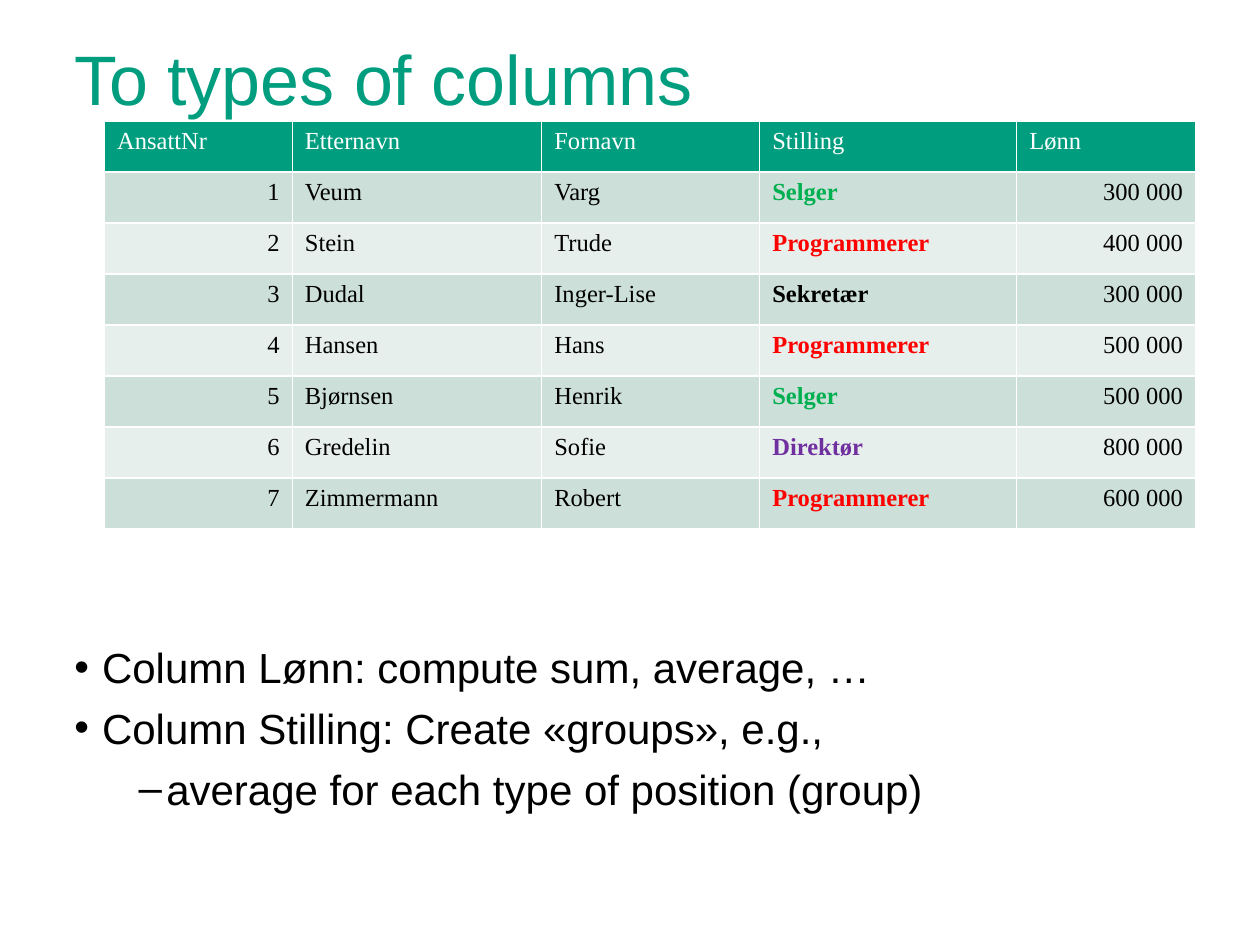
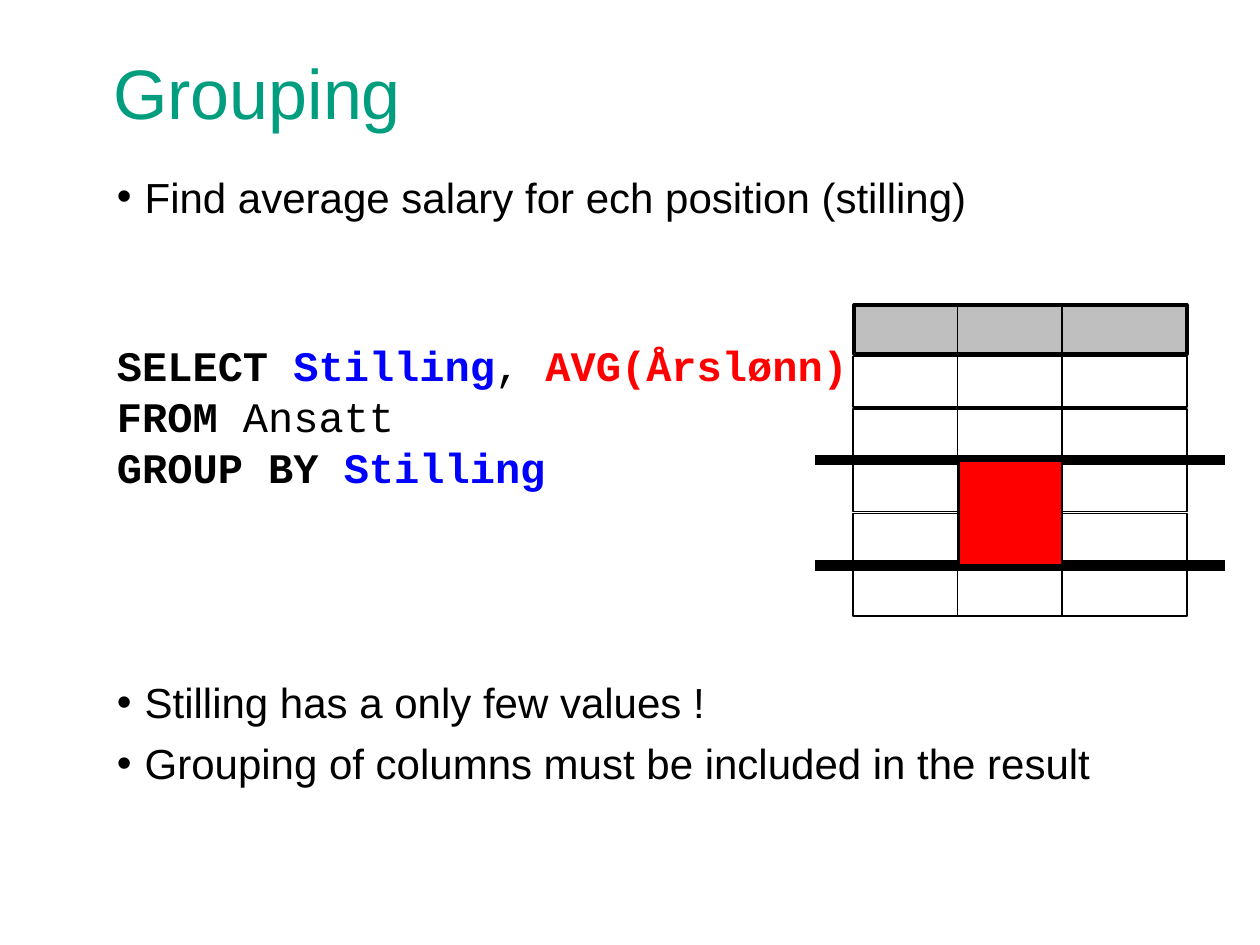
import pptx
import pptx.dml.color
import pptx.enum.shapes
import pptx.enum.text
import pptx.oxml
import pptx.oxml.ns
import pptx.util

Inches = pptx.util.Inches
Pt = pptx.util.Pt
RGBColor = pptx.dml.color.RGBColor
Align = pptx.enum.text.PP_ALIGN
Anchor = pptx.enum.text.MSO_ANCHOR

BLACK = RGBColor(0, 0, 0)
WHITE = RGBColor(255, 255, 255)
TEAL = RGBColor(0x00, 0x9D, 0x7F)
BAND_DARK = RGBColor(0xCC, 0xDF, 0xD8)
BAND_LIGHT = RGBColor(0xE7, 0xEF, 0xEC)
GREEN = RGBColor(0x00, 0xB0, 0x50)
PURPLE = RGBColor(0x70, 0x30, 0xA0)
RED = RGBColor(255, 0, 0)
BLUE = RGBColor(0, 0, 255)
GREY = RGBColor(0xBF, 0xBF, 0xBF)

SANS = "Arial"
SERIF = "Times New Roman"
MONO = "Courier New"

HEADER = ["AnsattNr", "Etternavn", "Fornavn", "Stilling", "Lønn"]
EMPLOYEES = [
    ["1", "Veum", "Varg", "Selger", "300 000"],
    ["2", "Stein", "Trude", "Programmerer", "400 000"],
    ["3", "Dudal", "Inger-Lise", "Sekretær", "300 000"],
    ["4", "Hansen", "Hans", "Programmerer", "500 000"],
    ["5", "Bjørnsen", "Henrik", "Selger", "500 000"],
    ["6", "Gredelin", "Sofie", "Direktør", "800 000"],
    ["7", "Zimmermann", "Robert", "Programmerer", "600 000"],
]
COLUMN_WIDTHS = [1.49, 1.98, 1.73, 2.04, 1.42]
POSITION_COLOURS = {"Selger": GREEN, "Programmerer": RED, "Sekretær": BLACK, "Direktør": PURPLE}
POSITION_COLUMN = HEADER.index("Stilling")
NUMBER_COLUMNS = (HEADER.index("AnsattNr"), HEADER.index("Lønn"))


def add_xml(parent, tag, **attributes):
    child = pptx.oxml.parse_xml(f"<a:{tag} {pptx.oxml.ns.nsdecls('a')}/>")
    for name, value in attributes.items():
        child.set(name, str(value))
    parent.append(child)
    return child


class Painter:
    body_size = 24
    title_size = 40
    table_size = 14
    body_gap = 6

    def __init__(self):
        self.deck = pptx.Presentation()
        self.deck.slide_width = Inches(10)
        self.deck.slide_height = Inches(7.5)
        self.page = None

    def new_page(self):
        self.page = self.deck.slides.add_slide(self.deck.slide_layouts[6])

    def span(self, para, text, size, font=SANS, colour=BLACK, bold=False):
        span = para.add_run()
        span.text = text
        span.font.size = Pt(size)
        span.font.name = font
        span.font.bold = bold
        span.font.color.rgb = colour

    def text_frame(self, left, top, width, height, inset, anchor=Anchor.TOP):
        box = self.page.shapes.add_textbox(Inches(left), Inches(top), Inches(width), Inches(height))
        frame = box.text_frame
        frame.word_wrap = True
        frame.vertical_anchor = anchor
        frame.margin_left = frame.margin_right = Inches(inset)
        frame.margin_top = frame.margin_bottom = Inches(inset / 2)
        return frame

    def title(self, text, left, top, height, inset=0):
        frame = self.text_frame(left, top, 7.46, height, inset, Anchor.BOTTOM)
        self.span(frame.paragraphs[0], text, self.title_size, colour=TEAL)

    def body_para(self, frame, gap=body_gap, bullet=None, left=0.22):
        para = frame.paragraphs[0]
        if para.runs:
            para = frame.add_paragraph()
        para.space_before = Pt(gap)
        properties = para._p.get_or_add_pPr()
        properties.set("marL", str(Inches(left)))
        properties.set("indent", str(Inches(-0.22)))
        if bullet:
            add_xml(properties, "buFont", typeface=SANS)
            add_xml(properties, "buChar", char=bullet)
        else:
            add_xml(properties, "buNone")
        return para

    def bullet(self, frame, text, gap=body_gap, mark="•", left=0.22):
        self.span(self.body_para(frame, gap, mark, left), text, self.body_size)

    def code_line(self, frame, spans, gap=body_gap):
        para = self.body_para(frame, gap)
        para.line_spacing = 0.8
        for text, colour, bold in spans:
            self.span(para, text, self.body_size, MONO, colour, bold)

    def cell(self, cell, text, fill, colour=BLACK, bold=False, align=Align.LEFT):
        properties = cell._tc.get_or_add_tcPr()
        for side in ("lnL", "lnR", "lnT", "lnB"):
            border = add_xml(properties, side, w=Pt(1))
            add_xml(add_xml(border, "solidFill"), "srgbClr", val=WHITE)
        cell.fill.solid()
        cell.fill.fore_color.rgb = fill
        para = cell.text_frame.paragraphs[0]
        para.alignment = align
        self.span(para, text, self.table_size, SERIF, colour, bold)

    def employee_table(self, left, top, height):
        rows = len(EMPLOYEES) + 1
        table = self.page.shapes.add_table(
            rows, len(HEADER), Inches(left), Inches(top), Inches(sum(COLUMN_WIDTHS)), Inches(height)
        ).table
        table.horz_banding = False
        for column, width in zip(table.columns, COLUMN_WIDTHS):
            column.width = Inches(width)
        for row in table.rows:
            row.height = Inches(height / rows)
        for index, text in enumerate(HEADER):
            self.cell(table.cell(0, index), text, TEAL, WHITE)
        for row, employee in enumerate(EMPLOYEES, 1):
            fill = BAND_DARK if row % 2 else BAND_LIGHT
            for index, text in enumerate(employee):
                self.cell(
                    table.cell(row, index),
                    text,
                    fill,
                    POSITION_COLOURS.get(text, BLACK),
                    index == POSITION_COLUMN,
                    Align.RIGHT if index in NUMBER_COLUMNS else Align.LEFT,
                )

    def rectangle(self, left, top, width, height, fill, weight=1):
        box = self.page.shapes.add_shape(
            pptx.enum.shapes.MSO_SHAPE.RECTANGLE,
            Inches(left), Inches(top), Inches(width), Inches(height),
        )
        box.shadow.inherit = False
        box.fill.solid()
        box.fill.fore_color.rgb = fill
        box.line.color.rgb = BLACK
        box.line.width = Pt(weight)

    def line(self, x1, y1, x2, y2, weight):
        line = self.page.shapes.add_connector(
            pptx.enum.shapes.MSO_CONNECTOR.STRAIGHT, Inches(x1), Inches(y1), Inches(x2), Inches(y2)
        )
        line.line.color.rgb = BLACK
        line.line.width = Pt(weight)
        add_xml(line._element.spPr, "effectLst")


def column_types(painter):
    painter.new_page()
    painter.title("To types of columns", 0.59, 0.28, 0.67)
    frame = painter.text_frame(0.59, 5.09, 9, 1.81, 0)
    painter.bullet(frame, "Column Lønn: compute sum, average, …")
    painter.bullet(frame, "Column Stilling: Create «groups», e.g.,")
    painter.bullet(frame, "average for each type of position (group)", mark="–", left=0.73)
    painter.employee_table(0.83, 0.96, 3.24)


def grouping(painter):
    painter.new_page()
    painter.title("Grouping", 0.8, 0.34, 0.77, 0.1)
    frame = painter.text_frame(0.83, 1.31, 8.67, 5.59, 0.1)
    painter.bullet(frame, "Find average salary for ech position (stilling)")
    painter.code_line(frame, [
        ("SELECT ", BLACK, True), ("Stilling", BLUE, True),
        (", ", BLACK, False), ("AVG(Årslønn)", RED, True),
    ], gap=73)
    painter.code_line(frame, [("FROM", BLACK, True), (" Ansatt", BLACK, False)])
    painter.code_line(frame, [("GROUP BY ", BLACK, True), ("Stilling", BLUE, True)])
    painter.bullet(frame, "Stilling has a only few values !", gap=106)
    painter.bullet(frame, "Grouping of columns must be included in the result")

    painter.rectangle(6.78, 2.42, 2.64, 0.39, GREY, 2)
    for row in range(5):
        painter.rectangle(6.77, 2.83 + row * 0.415, 2.65, 0.4, WHITE)
    for x in (8.43, 7.6):
        painter.line(x, 2.41, x, 4.9, 1)
    for y in (3.65, 4.49):
        painter.line(6.47, y, 9.72, y, 6)
    painter.rectangle(7.61, 3.66, 0.82, 0.82, RED)


def main():
    painter = Painter()
    column_types(painter)
    grouping(painter)
    painter.deck.save("out.pptx")


if __name__ == "__main__":
    main()
